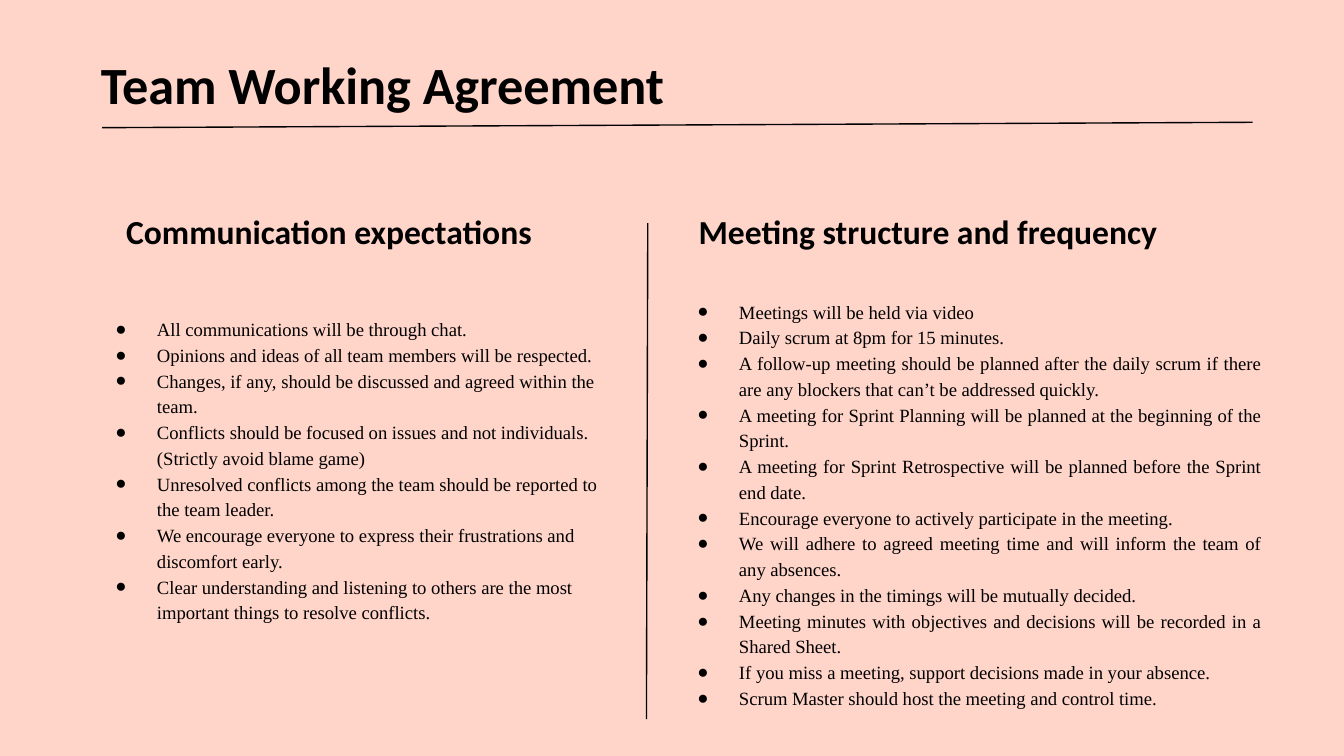
"""Build the Team Working Agreement slide."""
import lxml.etree
import pptx
import pptx.dml.color
import pptx.enum.shapes
import pptx.enum.text
import pptx.oxml.ns
import pptx.util

Inches = pptx.util.Inches
Pt = pptx.util.Pt
ALIGN = pptx.enum.text.PP_ALIGN
ANCHOR = pptx.enum.text.MSO_ANCHOR

COLORS = {"background": "FFD5CA", "ink": "000000"}
HEADING_FONT = "Calibri"
BODY_FONT = "Times New Roman"

TITLE = "Team Working Agreement"
TITLE_BOX = (0.65, 0.29, 8.43, 0.63)
COLUMNS = [
    {
        "heading": "Communication expectations",
        "heading_box": (0.84, 1.39, 3.89, 0.58),
        "body_box": (0.57, 2.24, 4.17, 2.09),
        "align": ALIGN.LEFT,
        "items": [
            "All communications will be through chat.",
            "Opinions and ideas of all team members will be respected.",
            "Changes, if any, should be discussed and agreed within the team.",
            "Conflicts should be focused on issues and not individuals. (Strictly avoid blame game)",
            "Unresolved conflicts among the team should be reported to the team leader.",
            "We encourage everyone to express their frustrations and discomfort early.",
            "Clear understanding and listening to others are the most important things to resolve conflicts.",
        ],
    },
    {
        "heading": "Meeting structure and frequency",
        "heading_box": (5.1, 1.39, 4.2, 0.58),
        "body_box": (4.9, 2.11, 4.58, 2.09),
        "align": ALIGN.JUSTIFY,
        "items": [
            "Meetings will be held via video",
            "Daily scrum at 8pm for 15 minutes.",
            "A follow-up meeting should be planned after the daily scrum if there are any blockers that can’t be addressed quickly.",
            "A meeting for Sprint Planning will be planned at the beginning of the Sprint.",
            "A meeting for Sprint Retrospective will be planned before the Sprint end date.",
            "Encourage everyone to actively participate in the meeting.",
            "We will adhere to agreed meeting time and will inform the team of any absences.",
            "Any changes in the timings will be mutually decided.",
            "Meeting minutes with objectives and decisions will be recorded in a Shared Sheet.",
            "If you miss a meeting, support decisions made in your absence.",
            "Scrum Master should host the meeting and control time.",
        ],
    },
]
RULES = [(0.76, 0.95, 9.32, 0.91), (4.81, 5.35, 4.82, 1.66)]


def rgb(name):
    return pptx.dml.color.RGBColor.from_string(COLORS[name])


def add_bullet(paragraph):
    properties = paragraph._p.get_or_add_pPr()
    properties.set("marL", str(Inches(0.5)))
    properties.set("indent", str(Inches(-0.31)))
    qn = pptx.oxml.ns.qn
    color = lxml.etree.SubElement(properties, qn("a:buClr"))
    lxml.etree.SubElement(color, qn("a:srgbClr"), val=COLORS["ink"])
    lxml.etree.SubElement(properties, qn("a:buFont"), typeface=BODY_FONT)
    lxml.etree.SubElement(properties, qn("a:buChar"), char="●")


def fill_text(shape, lines, size, font, bold=False, align=ALIGN.LEFT,
              anchor=ANCHOR.TOP, bullets=False):
    frame = shape.text_frame
    frame.word_wrap = True
    frame.auto_size = pptx.enum.text.MSO_AUTO_SIZE.NONE
    frame.vertical_anchor = anchor
    frame.margin_left = frame.margin_right = Inches(0.1)
    frame.margin_top = frame.margin_bottom = Inches(0.1)
    frame.text = "\n".join(lines)
    for paragraph in frame.paragraphs:
        if bullets:
            add_bullet(paragraph)
        paragraph.alignment = align
        paragraph.line_spacing = 1.15 if bullets else 1.0
        paragraph.font.size = Pt(size)
        paragraph.font.name = font
        paragraph.font.bold = bold
        paragraph.font.color.rgb = rgb("ink")


def add_text(slide, box, lines, *style, **options):
    shape = slide.shapes.add_textbox(*map(Inches, box))
    fill_text(shape, lines, *style, **options)


def add_rule(slide, ends):
    rule = slide.shapes.add_connector(
        pptx.enum.shapes.MSO_CONNECTOR.STRAIGHT, *map(Inches, ends))
    rule.line.color.rgb = rgb("ink")
    rule.line.width = Pt(0.75)
    lxml.etree.SubElement(rule._element.spPr, pptx.oxml.ns.qn("a:effectLst"))


def main():
    presentation = pptx.Presentation()
    presentation.slide_width = Inches(10)
    presentation.slide_height = Inches(10 * 9 / 16)
    slide = presentation.slides.add_slide(presentation.slide_layouts[5])
    slide.background.fill.solid()
    slide.background.fill.fore_color.rgb = rgb("background")

    title = slide.shapes.title
    title.left, title.top, title.width, title.height = map(Inches, TITLE_BOX)
    fill_text(title, [TITLE], 28, HEADING_FONT, bold=True)

    for column in COLUMNS:
        add_text(slide, column["heading_box"], [column["heading"]], 18,
                 HEADING_FONT, bold=True, anchor=ANCHOR.BOTTOM)
        add_text(slide, column["body_box"], column["items"], 10, BODY_FONT,
                 align=column["align"], bullets=True)
    for ends in RULES:
        add_rule(slide, ends)

    presentation.save("out.pptx")


if __name__ == "__main__":
    main()
